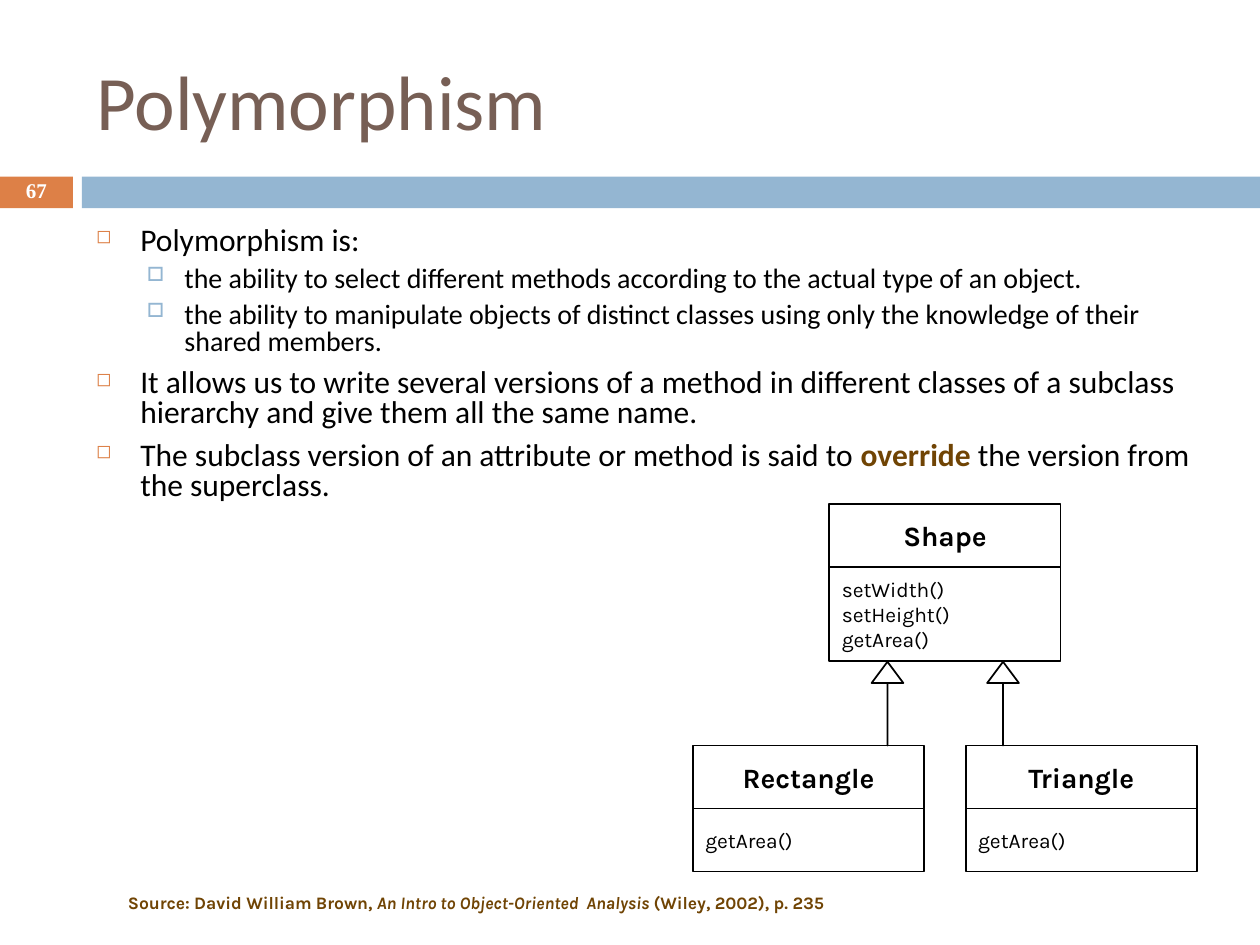
from lxml import etree
from pptx import Presentation
from pptx import util as u
from pptx.dml.color import RGBColor
from pptx.enum import shapes, text
from pptx.oxml.ns import qn

MIDDLE = text.MSO_ANCHOR.MIDDLE
CENTER = text.PP_ALIGN.CENTER
RECT = shapes.MSO_SHAPE.RECTANGLE


def color(value):
    return RGBColor.from_string(value)


def write(tf, runs, size, font="Calibri", fill="000000", bold=False, align=None,
          spacing=None, before=0, bullet=None):
    p = tf.paragraphs[0]
    if p.runs:
        p = tf.add_paragraph()
        p.space_before = u.Pt(before)
    if align is not None:
        p.alignment = align
    if spacing:
        p.line_spacing = spacing
    if bullet:
        char, tint, percent, margin, indent = bullet
        pPr = p._p.get_or_add_pPr()
        pPr.set("marL", str(u.Cm(margin)))
        pPr.set("indent", str(-u.Cm(indent)))
        clr = etree.SubElement(pPr, qn("a:buClr"))
        etree.SubElement(clr, qn("a:srgbClr"), val=tint)
        etree.SubElement(pPr, qn("a:buSzPct"), val=str(percent * 1000))
        etree.SubElement(pPr, qn("a:buChar"), char=char)
    for words, extra in runs:
        r = p.add_run()
        r.text = words
        r.font.size = u.Pt(size)
        r.font.name = font
        r.font.bold = extra.get("bold", bold)
        r.font.italic = extra.get("italic", False)
        r.font.color.rgb = color(extra.get("fill", fill))


prs = Presentation()
prs.slide_width, prs.slide_height = u.Cm(25.4), u.Cm(19.05)
s = prs.slides.add_slide(prs.slide_layouts[6])

for x, w, fill in [(0, 1.47, "DD8047"), (1.65, 23.75, "94B6D2")]:
    sp = s.shapes.add_shape(RECT, u.Cm(x), u.Cm(3.56), u.Cm(w), u.Cm(0.64))
    sp.shadow.inherit = False
    sp.fill.solid()
    sp.fill.fore_color.rgb = color(fill)
    sp.line.fill.background()

square = dict(size=18, spacing=0.8, before=7, bullet=("◻", "DD8047", 60, 0.89, 0.89))
nested = dict(size=16, spacing=0.8, before=5.5, bullet=("□", "94B6D2", 70, 1.78, 0.76))
body = [
    ([("Polymorphism is:", {})], square),
    ([("the ability to select different methods according to the actual type of an object.", {})], nested),
    ([("the ability to manipulate objects of distinct classes using only the knowledge "
       "of their shared members.", {})], nested),
    ([("It allows us to write several versions of a method in different classes of a "
       "subclass hierarchy and give them all the same name.", {})], square),
    ([("The subclass version of an attribute or method is said to ", {}),
      ("override", {"bold": True, "fill": "704404"}),
      (" the version from the superclass.", {})], square),
]
title = [([("Polymorphism", {})], dict(size=44, fill="775F55"))]
number = [([("67", {})], dict(size=12, font="Times New Roman", fill="FFFFFF", bold=True,
                              align=CENTER, spacing=0.8))]
source = [([("Source: David William Brown, ", {}),
            ("An Intro to Object-Oriented  Analysis ", {"italic": True}),
            ("(Wiley, 2002), p. 235", {})],
           dict(size=10, font="Karla", fill="704404", bold=True))]

for x, y, w, h, anchor, paragraphs in [
    (1.69, 0.64, 22.65, 2.75, MIDDLE, title),
    (0, 3.53, 1.47, 0.69, MIDDLE, number),
    (1.69, 4.45, 22.65, 6.35, text.MSO_ANCHOR.TOP, body),
    (2.33, 17.78, 16.3, 0.84, MIDDLE, source),
]:
    tf = s.shapes.add_textbox(u.Cm(x), u.Cm(y), u.Cm(w), u.Cm(h)).text_frame
    tf.word_wrap = True
    tf.vertical_anchor = anchor
    for runs, style in paragraphs:
        write(tf, runs, **style)

name_style = dict(size=16, font="Karla", bold=True, align=CENTER)
method_style = dict(size=12, font="Karla", align=text.PP_ALIGN.LEFT)
name_height = 1.27
for name, methods, x, y, method_height in [
    ("Rectangle", ["getArea()"], 13.97, 15.03, 1.27),
    ("Triangle", ["getArea()"], 19.47, 15.03, 1.27),
    ("Shape", ["setWidth()", "setHeight()", "getArea()"], 16.72, 10.16, 1.9),
]:
    for lines, top, h, style in [
        ([name], y, name_height, name_style),
        (methods, y + name_height, method_height, method_style),
    ]:
        sp = s.shapes.add_shape(RECT, u.Cm(x), u.Cm(top), u.Cm(4.66), u.Cm(h))
        sp.shadow.inherit = False
        sp.fill.solid()
        sp.fill.fore_color.rgb = color("FFFFFF")
        sp.line.color.rgb = color("000000")
        sp.line.width = u.Pt(1)
        tf = sp.text_frame
        tf.word_wrap = False
        tf.vertical_anchor = MIDDLE
        for line in lines:
            write(tf, [(line, {})], **style)

for x in (19.9, 17.57):
    sp = s.shapes.add_shape(shapes.MSO_SHAPE.DOWN_ARROW, u.Cm(x), u.Cm(13.34), u.Cm(0.64), u.Cm(1.69))
    sp.rotation = 180
    sp.adjustments[0] = 0
    sp.adjustments[1] = 0.67
    sp.shadow.inherit = False
    sp.fill.solid()
    sp.fill.fore_color.rgb = color("FFFFFF")
    sp.line.color.rgb = color("000000")
    sp.line.width = u.Pt(1)

prs.save("out.pptx")
